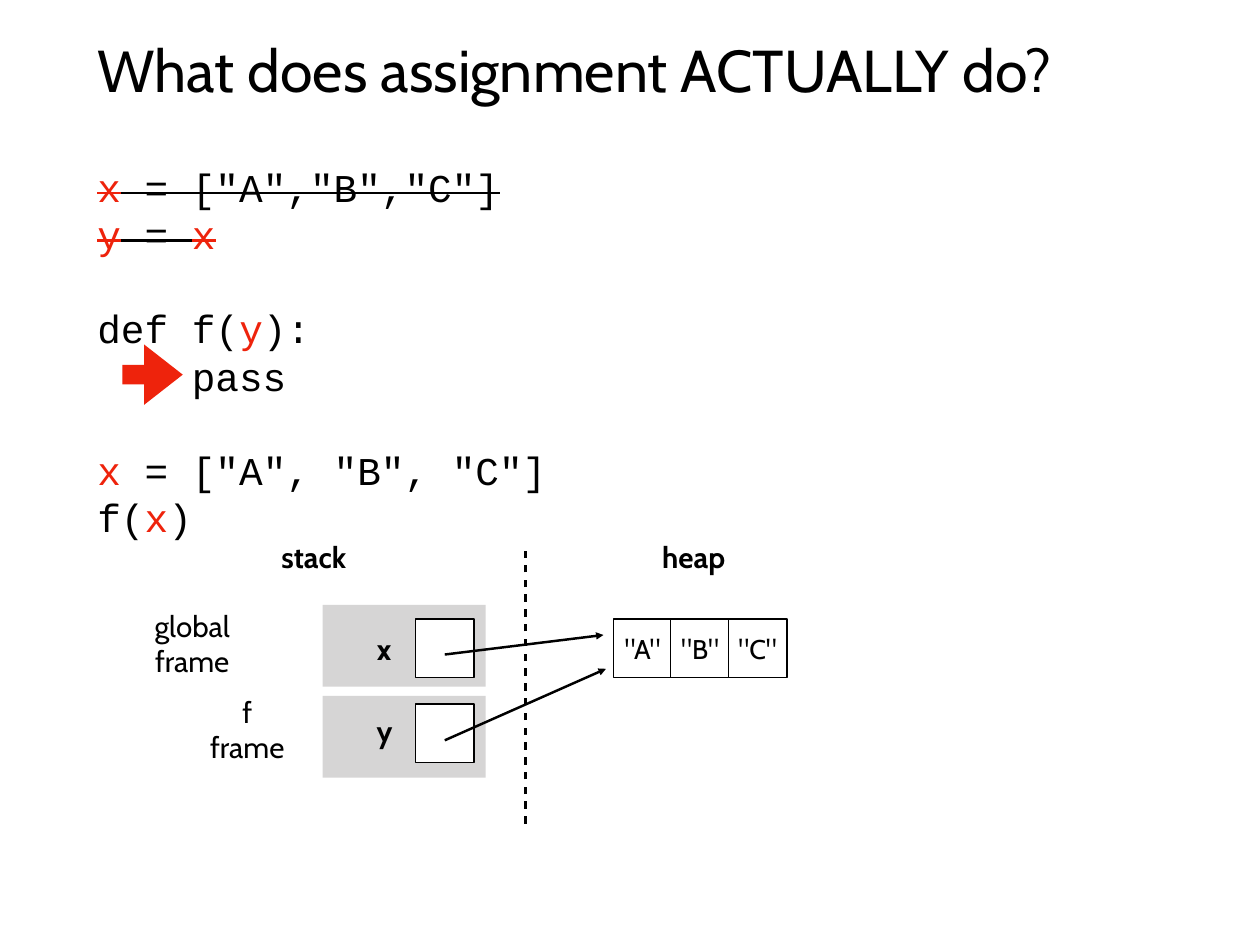
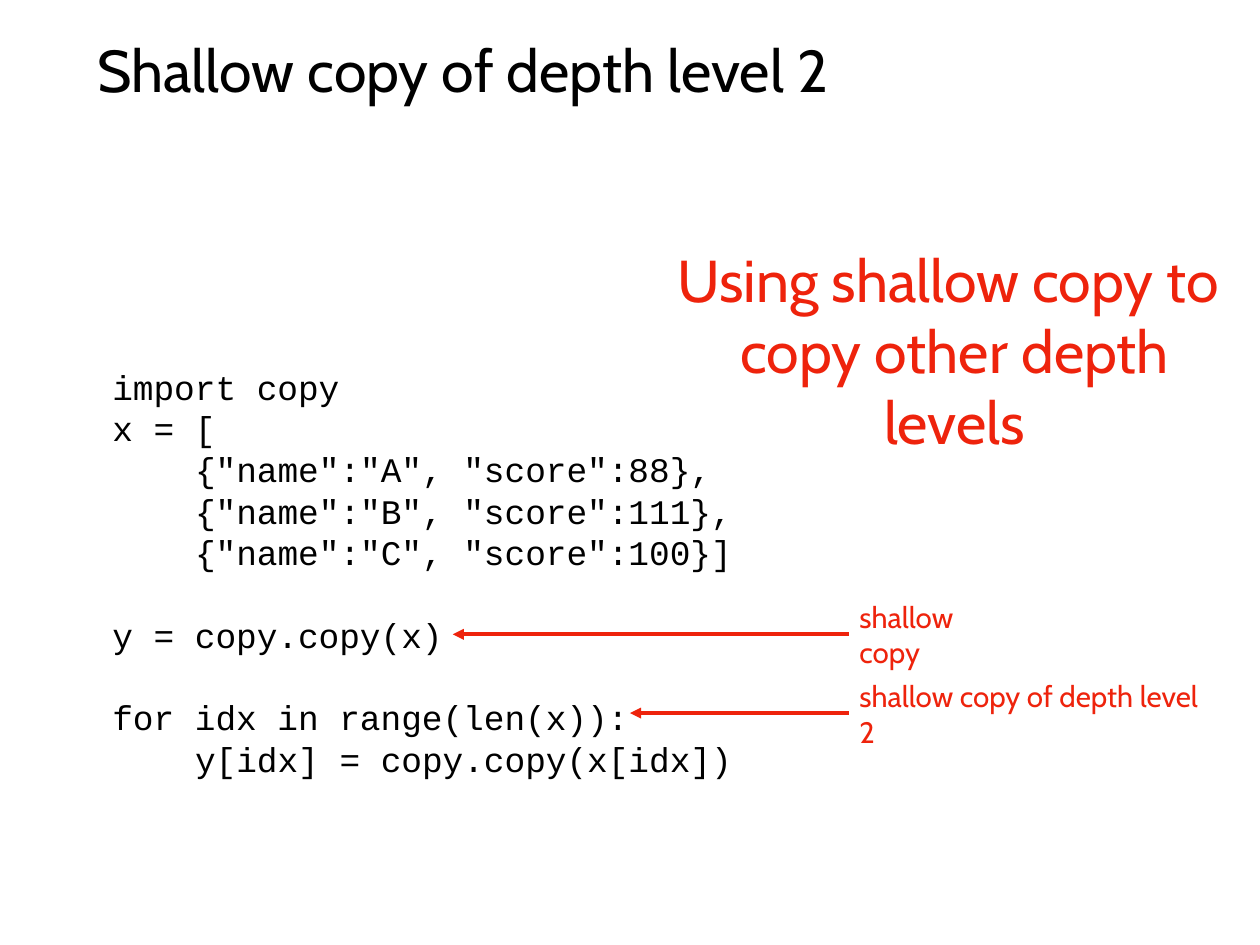
from lxml.etree import SubElement
from pptx import Presentation
from pptx.dml.color import RGBColor
from pptx.enum.shapes import MSO_CONNECTOR, MSO_SHAPE
from pptx.enum.text import MSO_ANCHOR, MSO_AUTO_SIZE, PP_ALIGN
from pptx.oxml.ns import qn
from pptx.util import Cm, Pt

hex_color = RGBColor.from_string
BLACK, RED, GRAY, WHITE = "000000", "EE230C", "D6D5D5", "FFFFFF"
HEADING_FONT, CODE_FONT = "Cabin", "Courier New"
INSET = Cm(0.15)

deck = Presentation()
deck.slide_width, deck.slide_height = Cm(36.12), Cm(27.1)


def write_text(shape, text, size=24, color=BLACK, bold=False, align=PP_ALIGN.CENTER):
    frame = shape.text_frame
    frame.word_wrap = True
    frame.auto_size = MSO_AUTO_SIZE.NONE
    frame.vertical_anchor = MSO_ANCHOR.MIDDLE
    frame.margin_left = frame.margin_right = INSET
    frame.margin_top = frame.margin_bottom = INSET
    frame.text = text
    for paragraph in frame.paragraphs:
        paragraph.alignment = align
        font = paragraph.font
        font.name, font.size, font.bold = HEADING_FONT, Pt(size), bold
        font.color.rgb = hex_color(color)


def add_line(slide, start, end, color, width, arrow=True):
    line = slide.shapes.add_connector(
        MSO_CONNECTOR.STRAIGHT, *[Cm(value) for value in start + end])
    line.line.color.rgb = hex_color(color)
    line.line.width = Pt(width)
    outline = line.line._get_or_add_ln()
    if arrow:
        SubElement(outline, qn("a:tailEnd"), type="triangle")
    else:
        dashes = SubElement(outline, qn("a:custDash"))
        SubElement(dashes, qn("a:ds"), d="200000", sp="200000")
    SubElement(line._element.spPr, qn("a:effectLst"))


# Titles and code: *name* is red, a leading ~ strikes the line out
assignment_code = """~*x* = ["A","B","C"]
~*y* = *x*

def f(*y*):
    pass

*x* = ["A", "B", "C"]
f(*x*)"""
shallow_code = """import copy
x = [
    {"name":"A", "score":88},
    {"name":"B", "score":111},
    {"name":"C", "score":100}]

y = copy.copy(x)

for idx in range(len(x)):
    y[idx] = copy.copy(x[idx])"""
pages = [
    ("What does assignment ACTUALLY do?", assignment_code, 32, (2.64, 4.42, 30.84, 17.58)),
    ("Shallow copy of depth level 2", shallow_code, 28, (3.07, 10.24, 30.84, 14.81)),
]
for heading, code, size, place in pages:
    slide = deck.slides.add_slide(deck.slide_layouts[1])
    title, body = slide.placeholders
    for holder, box in ((title, (2.64, 0.71, 30.84, 2.51)), (body, place)):
        holder.left, holder.top, holder.width, holder.height = [Cm(value) for value in box]
    write_text(title, heading, 48, align=PP_ALIGN.LEFT)

    frame = body.text_frame
    frame.auto_size = MSO_AUTO_SIZE.NONE
    frame.vertical_anchor = MSO_ANCHOR.TOP
    frame.margin_left = frame.margin_right = frame.margin_bottom = INSET
    frame.margin_top = Cm(0.25)
    line_height = Pt(1.2 * size)
    paragraph, gap = frame.paragraphs[0], 0
    for number, code_line in enumerate(code.split("\n")):
        if not code_line:
            gap = line_height
            continue
        if number:
            paragraph = frame.add_paragraph()
        paragraph.line_spacing, paragraph.space_before = line_height, gap
        paragraph.font.name, paragraph.font.size = CODE_FONT, Pt(size)
        gap = 0
        statement = code_line.lstrip(" ~")
        # One monospaced character is 0.6 em wide
        spaces = len(code_line) - len(code_line.lstrip(" "))
        settings = paragraph._p.get_or_add_pPr()
        settings.set("marL", str(Pt(0.6 * size * spaces)))
        settings.set("indent", "0")
        SubElement(settings, qn("a:buNone"))
        # The bullet setting has to come before the default font
        settings.append(settings.find(qn("a:defRPr")))
        for position, piece in enumerate(statement.split("*")):
            if piece:
                run = paragraph.add_run()
                run.text = piece
                run.font.color.rgb = hex_color(RED if position % 2 else BLACK)
                if code_line.startswith("~"):
                    run._r.get_or_add_rPr().set("strike", "sngStrike")

assignment, shallow = deck.slides

# Stack frames, variable boxes, list items and the current-line arrow
CELL = 1.68
blocks = [(9.25, top, 4.67, 2.34, GRAY, "") for top in (19.96, 17.35)]
blocks += [(11.91, top, CELL, CELL, WHITE, "") for top in (17.75, 20.19)]
blocks += [(17.58 + 1.65 * index, 17.75, CELL, CELL, WHITE, f'"{letter}"')
           for index, letter in enumerate("ABC")]
for *box, fill, text in blocks:
    block = assignment.shapes.add_shape(MSO_SHAPE.RECTANGLE, *[Cm(value) for value in box])
    block.shadow.inherit = False
    block.fill.solid()
    block.fill.fore_color.rgb = hex_color(fill)
    if fill == WHITE:
        block.line.color.rgb = hex_color(BLACK)
        block.line.width = Pt(1)
    else:
        block.line.fill.background()
    if text:
        write_text(block, text, 22)

current_line = assignment.shapes.add_shape(
    MSO_SHAPE.RIGHT_ARROW, Cm(3.51), Cm(9.88), Cm(1.73), Cm(1.73))
current_line.adjustments[0], current_line.adjustments[1] = 0.32, 0.64
current_line.shadow.inherit = False
current_line.fill.solid()
current_line.fill.fore_color.rgb = hex_color(RED)
current_line.line.fill.background()

# References, stack/heap divider and callout arrows
add_line(assignment, (12.75, 21.23), (17.37, 19.18), BLACK, 2)
add_line(assignment, (12.75, 18.77), (17.3, 18.21), BLACK, 2)
add_line(assignment, (15.06, 23.62), (15.06, 15.8), BLACK, 3, arrow=False)
for tip, height in ((12.98, 18.19), (18.06, 20.45)):
    add_line(shallow, (24.33, height), (tip, height), RED, 3)

# Labels
CENTER, LEFT = PP_ALIGN.CENTER, PP_ALIGN.LEFT
labels = [
    (assignment, "x", (10.59, 17.96, 0.84, 1.27), 24, BLACK, True, CENTER),
    (assignment, "y", (10.62, 20.32, 0.81, 1.27), 24, BLACK, True, CENTER),
    (assignment, "global frame", (4.14, 17.81, 2.74, 1.27), 24, BLACK, False, CENTER),
    (assignment, "f frame", (5.72, 20.27, 2.74, 1.27), 24, BLACK, False, CENTER),
    (assignment, "heap", (18.69, 15.32, 2.39, 1.27), 24, BLACK, True, CENTER),
    (assignment, "stack", (7.7, 15.34, 2.59, 1.27), 24, BLACK, True, CENTER),
    (shallow, "shallow copy", (24.49, 17.55, 4.7, 1.27), 24, RED, False, LEFT),
    (shallow, "Using shallow copy to \ncopy other depth levels",
     (19.05, 7.85, 16.64, 4.39), 48, RED, False, CENTER),
    (shallow, "shallow copy of depth level 2", (24.49, 19.81, 10.36, 1.32), 24, RED, False, LEFT),
]
for slide, text, box, *style in labels:
    label = slide.shapes.add_textbox(*[Cm(value) for value in box])
    write_text(label, text, *style)

deck.save("out.pptx")
